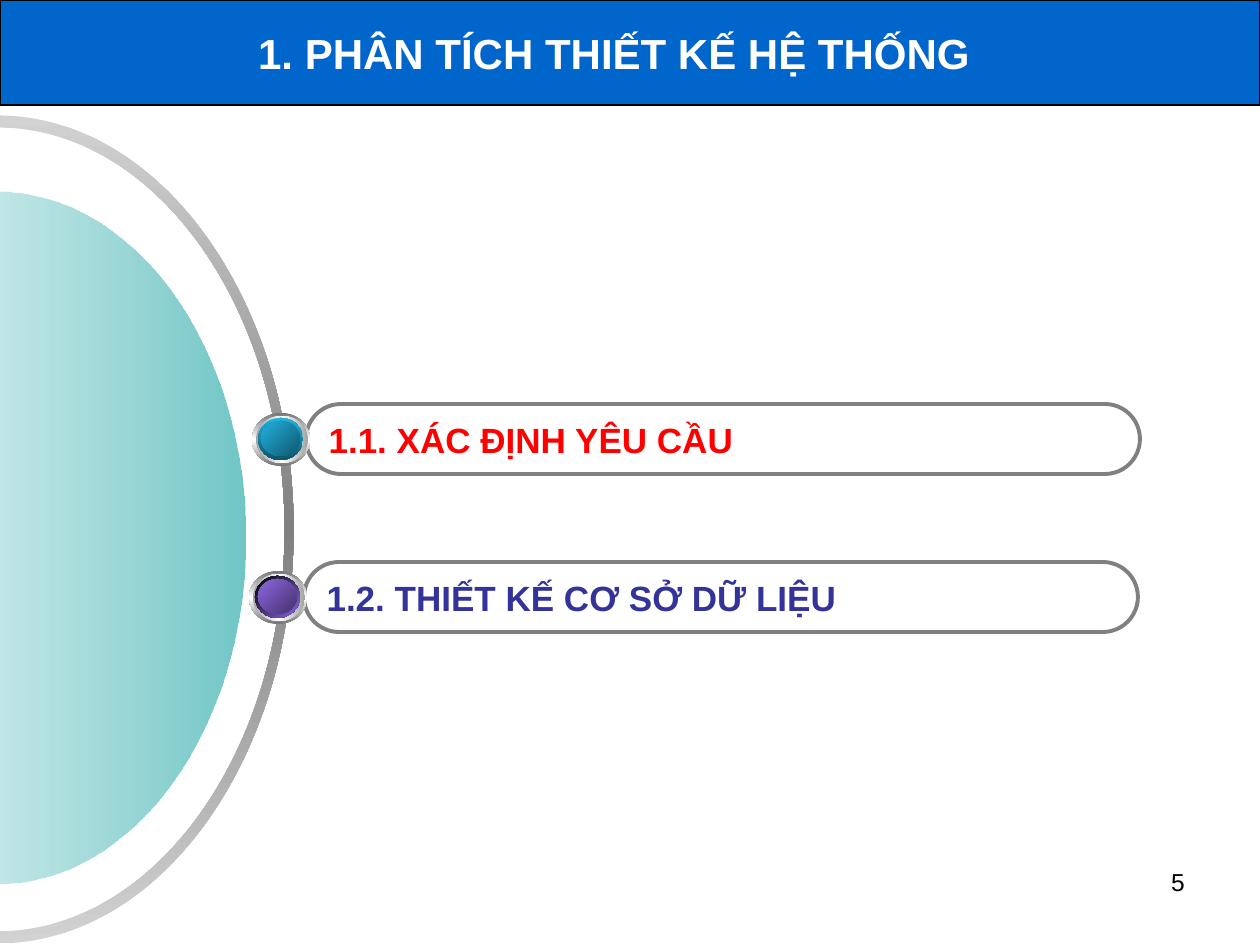
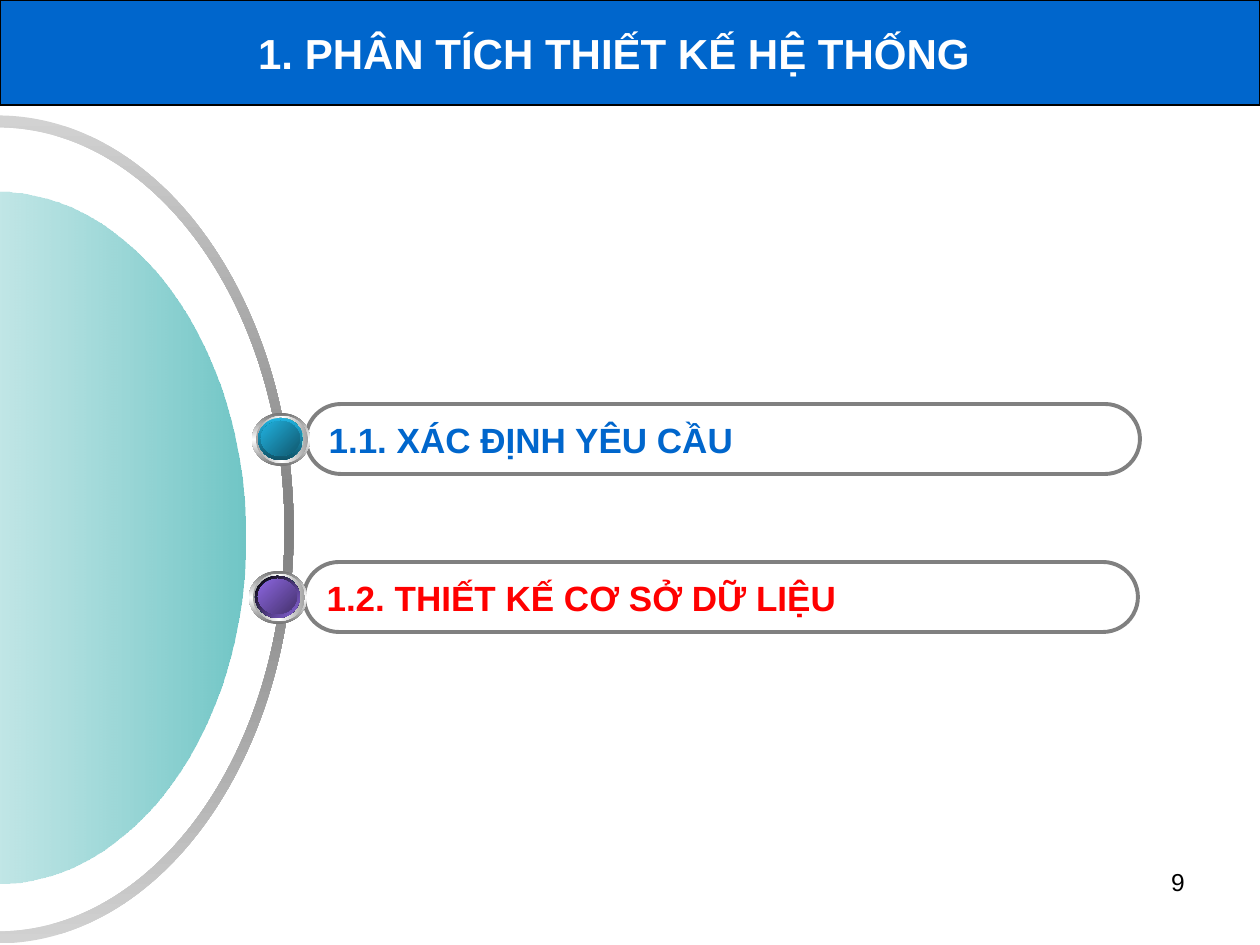
from lxml.etree import SubElement
from pptx import Presentation
from pptx.dml.color import RGBColor
from pptx.enum.shapes import MSO_SHAPE as Preset
from pptx.enum.text import MSO_ANCHOR as Anchor, MSO_AUTO_SIZE as AutoSize, PP_ALIGN as Align
from pptx.oxml.ns import qn
from pptx.util import Pt

PX = 914400 / 126
BLANK = 6
FONT = "Arial"
ARC_PULL = 0.55
ARC_POINTS = 7

BLACK = RGBColor(0x00, 0x00, 0x00)
WHITE = RGBColor(0xFF, 0xFF, 0xFF)
BLUE = RGBColor(0x00, 0x66, 0xCC)
INDIGO = RGBColor(0x33, 0x33, 0x99)
RED = RGBColor(0xFF, 0x00, 0x00)
GREY = RGBColor(0x80, 0x80, 0x80)
SILVER = RGBColor(0xD2, 0xD2, 0xD2)
RIM_GREY = RGBColor(0x76, 0x76, 0x76)
BEVEL_GREY = RGBColor(0xA2, 0xA2, 0xA2)
TEAL = RGBColor(0x00, 0x99, 0x99)
DARK_TEAL = RGBColor(0x00, 0x75, 0x75)
CYAN = RGBColor(0x21, 0xB3, 0xE1)
DEEP_CYAN = RGBColor(0x0F, 0x53, 0x68)
DARK_CYAN = RGBColor(0x10, 0x57, 0x6D)
VIOLET = RGBColor(0x8D, 0x67, 0xE1)
DARK_VIOLET = RGBColor(0x45, 0x32, 0x6D)

TITLE = "1. PHÂN TÍCH THIẾT KẾ HỆ THỐNG"
TITLE_FONT = {"name": FONT, "size": Pt(24), "bold": True}
TOPIC_FONT = {"name": FONT, "size": Pt(20), "bold": True}
NUMBER_FONT = {"name": FONT, "size": Pt(14), "bold": False}

BEAD_SIZES = {"rim": (0, 0, 58, 53), "bevel": (4, 3, 52, 47),
              "ball": (6, 5, 45, 42), "core": (9, 8, 39, 35)}
TOPICS = [
    {"text": "1.2. THIẾT KẾ CƠ SỞ DỮ LIỆU", "pill": (304, 562), "bead": (249, 571),
     "ball": ([BLACK, VIOLET], 45), "core": ([VIOLET, DARK_VIOLET], 45)},
    {"text": "1.1. XÁC ĐỊNH YÊU CẦU", "pill": (306, 404), "bead": (252, 413),
     "ball": ([CYAN, DEEP_CYAN], 90), "core": ([CYAN, DARK_CYAN], 45)},
]
PAGES = [("5", [INDIGO, RED]), ("9", [RED, BLUE])]


def emu(*lengths):
    return [round(length * PX) for length in lengths]


def set_format(target, values):
    for name, value in values.items():
        setattr(target, name, value)


def write(shape, text, font, color, align, **frame_format):
    frame = shape.text_frame
    set_format(frame, frame_format)
    paragraph = frame.paragraphs[0]
    paragraph.alignment = align
    run = paragraph.add_run()
    run.text = text
    set_format(run.font, font)
    run.font.color.rgb = color


def add_label(slide, box, text, font, color, align, **frame_format):
    label = slide.shapes.add_textbox(*emu(*box))
    write(label, text, font, color, align, word_wrap=True, **frame_format)


def paint_gradient(shape, colors, angle, alphas=None):
    shape.shadow.inherit = False
    shape.line.fill.background()
    shape.fill.gradient()
    shape.fill.gradient_angle = -angle % 360
    stops = shape.element.spPr.find(qn("a:gradFill")).find(qn("a:gsLst"))
    stops.clear()
    for index, color in enumerate(colors):
        position = 100000 * index // (len(colors) - 1)
        stop = SubElement(stops, qn("a:gs"), pos=str(position))
        rgb = SubElement(stop, qn("a:srgbClr"), val=str(color))
        if alphas:
            SubElement(rgb, qn("a:alpha"), val=str(alphas[index] * 1000))


def half_arc(center_x, base_y, radius_x, radius_y):
    pull_x, pull_y = ARC_PULL * radius_x, ARC_PULL * radius_y
    top = base_y - radius_y
    return [emu(center_x + dx, y) for dx, y in [
        (-radius_x, base_y), (-radius_x, base_y - pull_y), (-pull_x, top), (0, top),
        (pull_x, top), (radius_x, base_y - pull_y), (radius_x, base_y)]]


def curve_segments(outline, arc_count):
    lines = outline.findall(qn("a:lnTo"))
    for arc in range(arc_count):
        for start in (arc * ARC_POINTS, arc * ARC_POINTS + 3):
            curve, *others = lines[start:start + 3]
            curve.tag = qn("a:cubicBezTo")
            for line in others:
                curve.append(line[0])
                outline.remove(line)


def add_dome(slide, box, arcs):
    left, top, width, height = emu(*box)
    points = [point for arc in arcs for point in arc]
    builder = slide.shapes.build_freeform(*points[0])
    builder.add_line_segments(points[1:], close=True)
    dome = builder.convert_to_shape(left, top)
    outline = next(dome.element.spPr.iter(qn("a:path")))
    curve_segments(outline, len(arcs))
    outline.set("w", str(width))
    outline.set("h", str(height))
    set_format(dome, {"left": left, "top": top, "width": width,
                      "height": height, "rotation": 90})
    return dome


def add_dial(slide):
    outer = half_arc(414, 296, 414, 296)
    inner = half_arc(414, 296, 402, 287)
    ring = add_dome(slide, (-422, 229, 829, 602), [outer, inner[::-1]])
    paint_gradient(ring, [SILVER, GREY, SILVER], 0)
    disc = add_dome(slide, (-349, 291, 693, 495), [half_arc(346, 248, 346, 248)])
    paint_gradient(disc, [TEAL, WHITE], 90, alphas=[56, 48])


def add_band(slide):
    band = slide.shapes.add_shape(Preset.RECTANGLE, *emu(0, 0, 1260, 105))
    band.shadow.inherit = False
    band.fill.solid()
    band.fill.fore_color.rgb = BLUE
    band.line.color.rgb = BLACK
    band.line.width = Pt(0.75)


def add_pill(slide, topic, color):
    pill = slide.shapes.add_shape(Preset.ROUNDED_RECTANGLE, *emu(*topic["pill"], 834, 70))
    pill.adjustments[0] = 0.5
    pill.shadow.inherit = False
    pill.fill.background()
    pill.line.color.rgb = GREY
    pill.line.width = Pt(2.25)
    write(pill, topic["text"], TOPIC_FONT, color, Align.LEFT,
          word_wrap=False, vertical_anchor=Anchor.MIDDLE)


def add_bead(slide, topic):
    left, top = topic["bead"]
    layers = [
        ("rim", [RIM_GREY, WHITE, RIM_GREY], 90),
        ("bevel", [BEVEL_GREY, WHITE, BEVEL_GREY], 0),
        ("ball", [WHITE, TEAL, WHITE], 45),
        ("ball", *topic["ball"]),
        ("core", [DARK_TEAL, TEAL, DARK_TEAL], 315),
        ("core", *topic["core"]),
    ]
    bead = slide.shapes.add_group_shape()
    for size, colors, angle in layers:
        dx, dy, width, height = BEAD_SIZES[size]
        layer = bead.shapes.add_shape(Preset.OVAL, *emu(left + dx, top + dy, width, height))
        paint_gradient(layer, colors, angle)


def add_page(deck, number, topic_colors):
    slide = deck.slides.add_slide(deck.slide_layouts[BLANK])
    add_label(slide, (903, 861, 294, 66), number, NUMBER_FONT, BLACK, Align.RIGHT)
    add_band(slide)
    add_label(slide, (231, 21, 766, 63), TITLE, TITLE_FONT, WHITE, Align.CENTER,
              auto_size=AutoSize.SHAPE_TO_FIT_TEXT)
    add_dial(slide)
    for topic, color in zip(TOPICS, topic_colors):
        add_pill(slide, topic, color)
    for topic in reversed(TOPICS):
        add_bead(slide, topic)


def main():
    deck = Presentation()
    deck.slide_width, deck.slide_height = emu(1260, 945)
    for number, topic_colors in PAGES:
        add_page(deck, number, topic_colors)
    deck.save("out.pptx")


if __name__ == "__main__":
    main()
